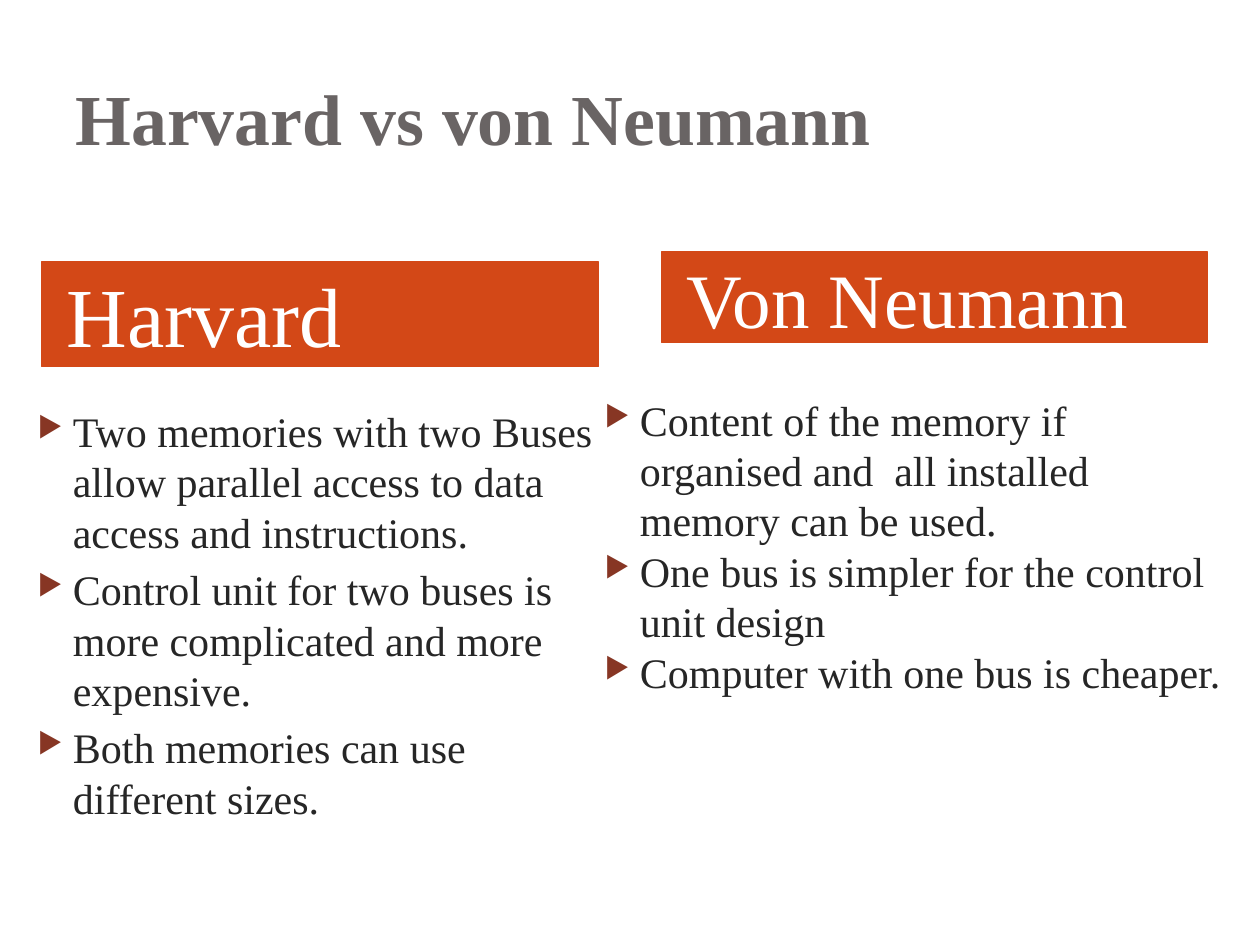
from pptx import Presentation
from pptx.dml.color import RGBColor
from pptx.enum.shapes import MSO_SHAPE as Shape
from pptx.enum.text import MSO_ANCHOR as Anchor, PP_ALIGN as Align
from pptx.oxml import parse_xml
from pptx.oxml.ns import nsdecls
from pptx.util import Cm, Pt

FONT = "Times New Roman"
GREY, ORANGE, RUST, INK, WHITE = "696464", "D34817", "873624", "262626", "FFFFFF"


def color(hex_value):
    return RGBColor.from_string(hex_value)


class ComparisonSlide:
    """Holds the slide and its style; lengths are in centimetres."""

    def __init__(self, prs):
        self.slide = prs.slides.add_slide(prs.slide_layouts[5])

    def style(self, paragraph, size, hex_value, bold=False, before=0):
        paragraph.alignment = Align.LEFT
        paragraph.space_before = Pt(before)
        for run in paragraph.runs:
            run.font.name = FONT
            run.font.size = Pt(size)
            run.font.bold = bold
            run.font.color.rgb = color(hex_value)

    def title(self, text, x, y, w, h):
        heading = self.slide.shapes.title
        heading.left, heading.top, heading.width, heading.height = map(Cm, (x, y, w, h))
        frame = heading.text_frame
        frame.text = text
        frame.vertical_anchor = Anchor.MIDDLE
        self.style(frame.paragraphs[0], 41, GREY, bold=True)

    def banner(self, text, size, x, y, w, h):
        bar = self.slide.shapes.add_shape(Shape.RECTANGLE, *map(Cm, (x, y, w, h)))
        bar.shadow.inherit = False
        bar.fill.solid()
        bar.fill.fore_color.rgb = color(ORANGE)
        bar.line.color.rgb = color(ORANGE)
        bar.line.width = Pt(0.75)
        frame = bar.text_frame
        frame.text = text
        frame.margin_left = Cm(0.51)
        frame.vertical_anchor = Anchor.MIDDLE
        self.style(frame.paragraphs[0], size, WHITE, before=4)

    def bullets(self, points, before, x, y, w, h):
        frame = self.slide.shapes.add_textbox(*map(Cm, (x, y, w, h))).text_frame
        frame.word_wrap = True
        frame.text = "\n".join(points)
        for paragraph in frame.paragraphs:
            self.style(paragraph, 24, INK, before=before)
            self.add_bullet(paragraph)

    def add_bullet(self, paragraph):
        props = paragraph._p.get_or_add_pPr()
        props.set("marL", str(Cm(1.02)))
        props.set("indent", str(Cm(-0.71)))
        for tag in (
            f'<a:buClr {nsdecls("a")}><a:srgbClr val="{RUST}"/></a:buClr>',
            f'<a:buSzPct {nsdecls("a")} val="68000"/>',
            f'<a:buChar {nsdecls("a")} char="▶"/>',
        ):
            props.append(parse_xml(tag))


def main():
    prs = Presentation()
    prs.slide_width, prs.slide_height = Cm(25.4), Cm(19.05)
    page = ComparisonSlide(prs)
    page.title("Harvard vs von Neumann", 1.27, 0.76, 22.86, 3.18)

    # Harvard column
    page.banner("Harvard", 48, 0.84, 5.28, 11.23, 2.11)
    page.bullets([
        "Two memories with two Buses allow parallel access to data access and instructions.",
        "Control unit for two buses is more complicated and more expensive.",
        "Both memories can use different sizes.",
    ], 4, 0.2, 8.05, 12.07, 10.36)

    # Von Neumann column
    page.banner("Von Neumann", 44, 13.34, 5.08, 11, 1.83)
    page.bullets([
        "Content of the memory if organised and  all installed memory can be used.",
        "One bus is simpler for the control unit design",
        "Computer with one bus is cheaper.",
    ], 0, 11.63, 7.82, 13.34, 10.59)

    prs.save("out.pptx")


if __name__ == "__main__":
    main()
